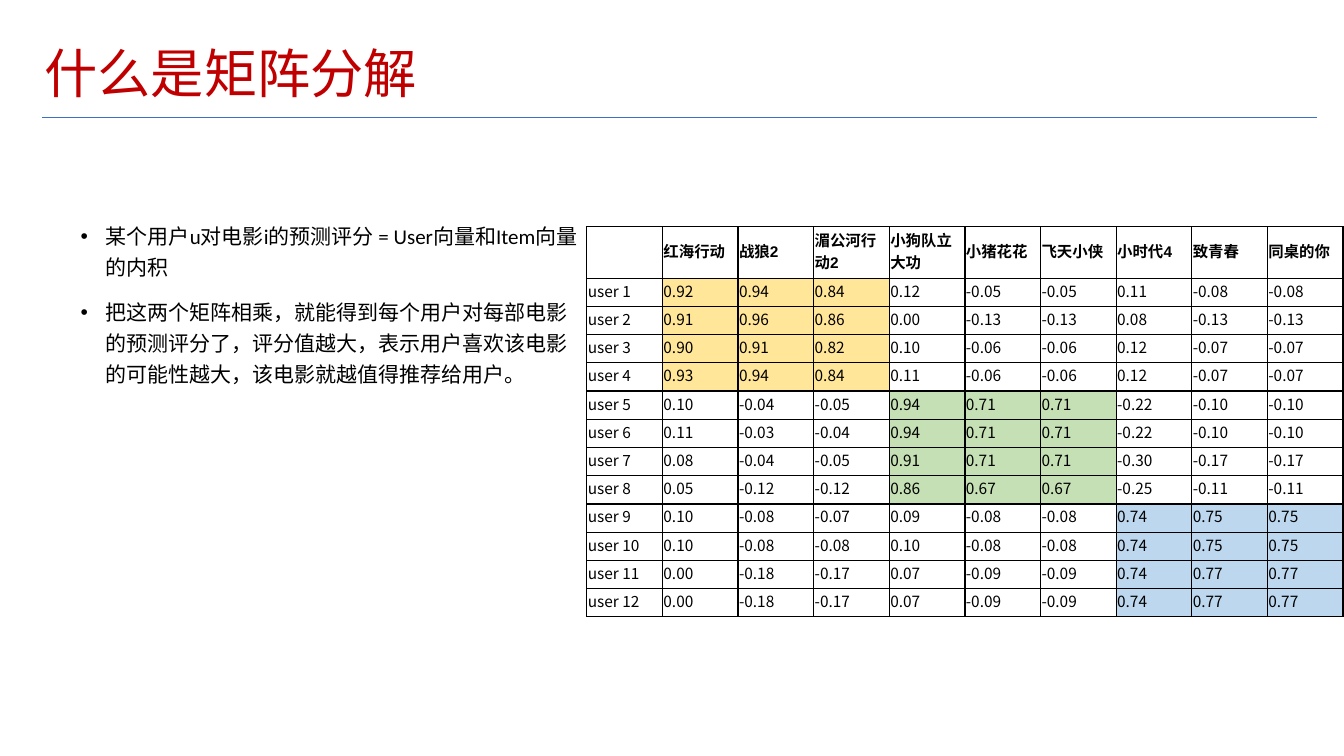
from lxml import etree
from pptx import Presentation
from pptx import util as u
from pptx.dml.color import RGBColor
from pptx.enum import shapes, text
from pptx.oxml import ns

PX = 9144  # 100 px to the inch

HEADS = ["", "红海行动", "战狼2", "湄公河行动2", "小狗队立大功",
         "小猪花花", "飞天小侠", "小时代4", "致青春", "同桌的你"]
SCORES = """
0.92 0.94 0.84 0.12 -0.05 -0.05 0.11 -0.08 -0.08
0.91 0.96 0.86 0.00 -0.13 -0.13 0.08 -0.13 -0.13
0.90 0.91 0.82 0.10 -0.06 -0.06 0.12 -0.07 -0.07
0.93 0.94 0.84 0.11 -0.06 -0.06 0.12 -0.07 -0.07
0.10 -0.04 -0.05 0.94 0.71 0.71 -0.22 -0.10 -0.10
0.11 -0.03 -0.04 0.94 0.71 0.71 -0.22 -0.10 -0.10
0.08 -0.04 -0.05 0.91 0.71 0.71 -0.30 -0.17 -0.17
0.05 -0.12 -0.12 0.86 0.67 0.67 -0.25 -0.11 -0.11
0.10 -0.08 -0.07 0.09 -0.08 -0.08 0.74 0.75 0.75
0.10 -0.08 -0.08 0.10 -0.08 -0.08 0.74 0.75 0.75
0.00 -0.18 -0.17 0.07 -0.09 -0.09 0.74 0.77 0.77
0.00 -0.18 -0.17 0.07 -0.09 -0.09 0.74 0.77 0.77
"""
BLOCKS = ["FFE699", "C5E0B4", "BDD7EE"]
POINTS = [
    "某个用户u对电影i的预测评分 = User向量和Item向量的内积",
    "把这两个矩阵相乘，就能得到每个用户对每部电影的预测评分了，"
    "评分值越大，表示用户喜欢该电影的可能性越大，该电影就越值得推荐给用户。",
]


def px(n):
    return u.Emu(n * PX)


def color(code):
    return RGBColor.from_string(code)


def sub(node, tag, **attrs):
    return etree.SubElement(node, ns.qn(tag), attrs)


class Page:
    body, wide, black = "Calibri", "Noto Sans CJK SC", "000000"

    def __init__(self, deck):
        self.slide = deck.slides.add_slide(deck.slide_layouts[6])

    def run(self, para, words, size, font, ink=black, bold=False):
        run = para.add_run()
        run.text = words
        run.font.size = u.Pt(size)
        run.font.name = font
        run.font.bold = bold
        run.font.color.rgb = color(ink)
        sub(run.font._element, "a:ea", typeface=self.wide)

    def rule(self, x1, y1, x2, y2, ink):
        line = self.slide.shapes.add_connector(
            shapes.MSO_CONNECTOR.STRAIGHT, px(x1), px(y1), px(x2), px(y2))
        line.line.color.rgb = color(ink)
        line.line.width = u.Pt(0.75)
        sub(line._element.spPr, "a:effectLst")

    def frame(self, x, y, w, h):
        """Return the text frame of a new wrapped text box."""
        frame = self.slide.shapes.add_textbox(px(x), px(y), px(w), px(h)).text_frame
        frame.word_wrap = True
        frame.margin_left = frame.margin_right = px(5)
        frame.margin_top = frame.margin_bottom = px(5)
        return frame

    def title(self, words, *box):
        frame = self.frame(*box)
        frame.vertical_anchor = text.MSO_ANCHOR.MIDDLE
        para = frame.paragraphs[0]
        para.line_spacing = 0.9
        self.run(para, words, 38, self.body, "C00000")

    def bullets(self, points, *box):
        frame = self.frame(*box)
        for i, words in enumerate(points):
            para = frame.add_paragraph() if i else frame.paragraphs[0]
            props = para._p.get_or_add_pPr()
            props.set("marL", str(px(25)))
            props.set("indent", str(px(-25)))
            sub(props, "a:buFont", typeface="Arial")
            sub(props, "a:buChar", char="•")
            para.line_spacing = 1.23
            para.space_before = u.Pt(10 if i else 0)
            self.run(para, words, 15, self.body)

    def cell(self, cell, words, head, fill):
        cell.margin_left = cell.margin_top = cell.margin_right = px(1)
        cell.margin_bottom = px(5)
        cell.vertical_anchor = text.MSO_ANCHOR.MIDDLE
        if words:
            font = "Arial" if head else self.wide
            self.run(cell.text_frame.paragraphs[0], words, 11, font, bold=head)
        props = cell._tc.get_or_add_tcPr()
        for side in ("a:lnL", "a:lnR", "a:lnT", "a:lnB"):
            edge = sub(props, side, w=str(u.Pt(1)))
            sub(sub(edge, "a:solidFill"), "a:srgbClr", val=self.black)
        if fill:
            cell.fill.solid()
            cell.fill.fore_color.rgb = color(fill)
        else:
            cell.fill.background()

    def table(self, rows, x, y, wide, top, high):
        """Draw rows with a header top px high; each 4 by 3 diagonal block is tinted."""
        cols = len(rows[0])
        total = top + high * (len(rows) - 1)
        grid = self.slide.shapes.add_table(
            len(rows), cols, px(x), px(y), px(wide * cols), px(total)).table
        grid.first_row = grid.horz_banding = False
        for col in grid.columns:
            col.width = px(wide)
        for r, row in enumerate(rows):
            grid.rows[r].height = px(high if r else top)
            for c, words in enumerate(row):
                block = (r - 1) // 4
                tint = r and c and block == (c - 1) // 3
                self.cell(grid.cell(r, c), words, r == 0,
                          BLOCKS[block] if tint else None)


def main():
    deck = Presentation()
    deck.slide_width, deck.slide_height = px(1333), px(750)
    page = Page(deck)
    page.rule(42, 117, 1306, 117, "3F6FC3")
    page.title("什么是矩阵分解", 39, 40, 1113, 71)
    page.bullets(POINTS, 75, 211, 507, 434)
    users = [[f"user {i}", *line.split()]
             for i, line in enumerate(SCORES.strip().splitlines(), 1)]
    page.table([HEADS, *users], 582, 225, 75, 51, 28)
    deck.save("out.pptx")


if __name__ == "__main__":
    main()
